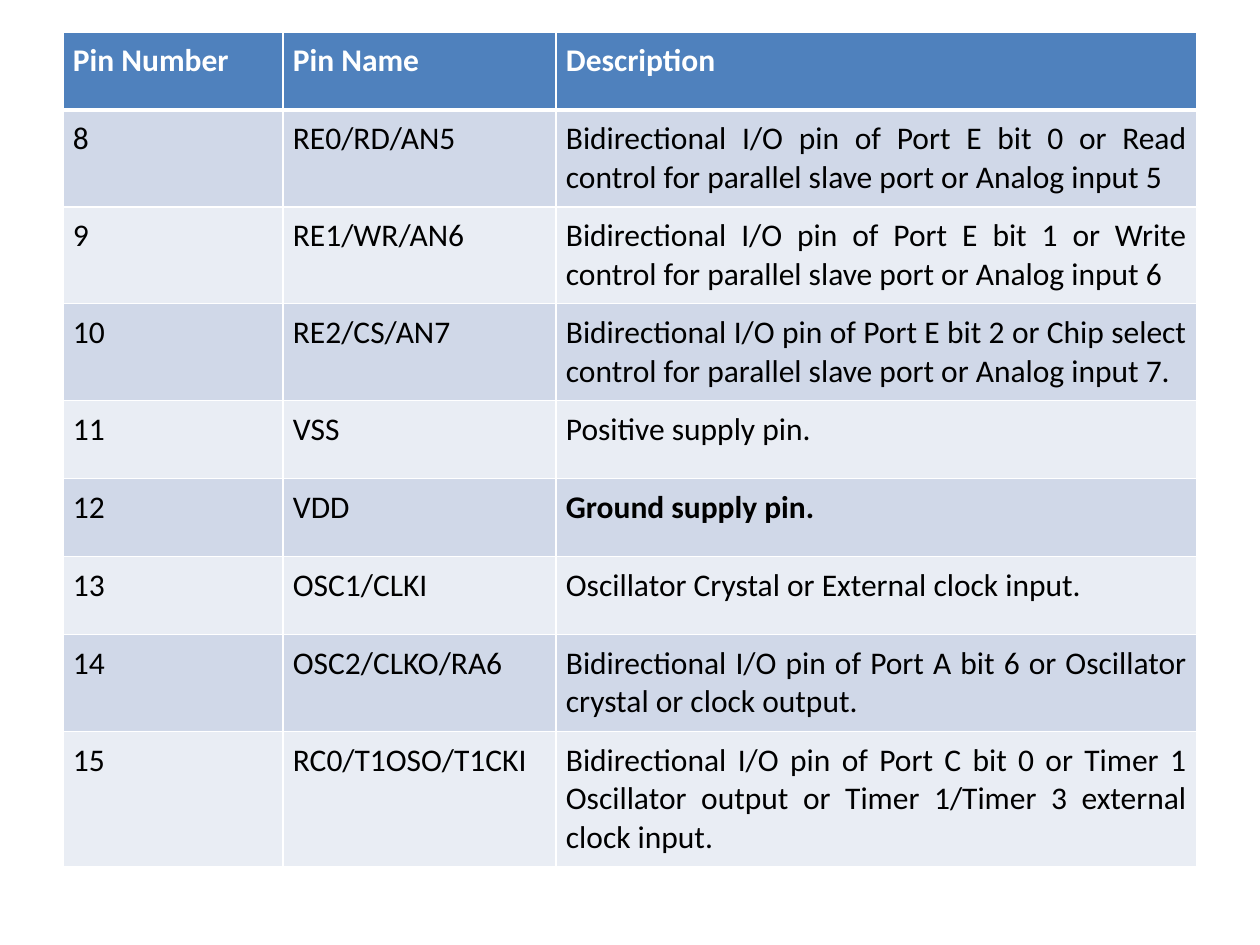
from dataclasses import dataclass

from lxml import etree
from pptx import Presentation
from pptx import util as u
from pptx.dml.color import RGBColor
from pptx.enum import text
from pptx.oxml.ns import qn

PX = 914400 / 126
WIDTHS = (220, 273, 641)
ROW_H = 78
BANDS = ("D0D8E8", "E9EDF4")
HEADINGS = ("Pin Number", "Pin Name", "Description")


@dataclass
class Pin:
    number: int
    name: str
    description: str
    bold: bool = False


PINS = [
    Pin(8, "RE0/RD/AN5", "Bidirectional I/O pin of Port E bit 0 or Read control for parallel slave port or Analog input 5"),
    Pin(9, "RE1/WR/AN6", "Bidirectional I/O pin of Port E bit 1 or Write control for parallel slave port or Analog input 6"),
    Pin(10, "RE2/CS/AN7", "Bidirectional I/O pin of Port E bit 2 or Chip select control for parallel slave port or Analog input 7."),
    Pin(11, "VSS", "Positive supply pin."),
    Pin(12, "VDD", "Ground supply pin.", bold=True),
    Pin(13, "OSC1/CLKI", "Oscillator Crystal or External clock input."),
    Pin(14, "OSC2/CLKO/RA6", "Bidirectional I/O pin of Port A bit 6 or Oscillator crystal or clock output."),
    Pin(15, "RC0/T1OSO/T1CKI", "Bidirectional I/O pin of Port C bit 0 or Timer 1 Oscillator output or Timer 1/Timer 3 external clock input."),
]


def px(n: int) -> u.Emu:
    return u.Emu(round(n * PX))


def rgb(value: str) -> RGBColor:
    return RGBColor.from_string(value)


def set_borders(cell, top: int, bottom: int) -> None:
    tc_pr = cell._tc.get_or_add_tcPr()
    for side, width in {"L": 1, "R": 1, "T": top, "B": bottom}.items():
        ln = etree.SubElement(tc_pr, qn(f"a:ln{side}"), w=str(u.Pt(width)))
        fill = etree.SubElement(ln, qn("a:solidFill"))
        etree.SubElement(fill, qn("a:srgbClr"), val="FFFFFF")


def fill_cell(cell, label: str, fill: str, color: str, bold: bool,
              top: int = 1, bottom: int = 1) -> None:
    set_borders(cell, top, bottom)
    cell.fill.solid()
    cell.fill.fore_color.rgb = rgb(fill)
    for side in ("left", "right", "top", "bottom"):
        setattr(cell, f"margin_{side}", px(10))
    p = cell.text_frame.paragraphs[0]
    p.alignment = text.PP_ALIGN.JUSTIFY
    r = p.add_run()
    r.text = label
    for key, value in {"name": "Calibri", "size": u.Pt(18), "bold": bold}.items():
        setattr(r.font, key, value)
    r.font.color.rgb = rgb(color)


def add_pin_table(s, pins: list[Pin]) -> None:
    rows = len(pins) + 1
    table = s.shapes.add_table(rows, len(WIDTHS), px(63), px(32),
                               px(sum(WIDTHS)), px(rows * ROW_H)).table
    for column, width in zip(table.columns, WIDTHS):
        column.width = px(width)
    for row in table.rows:
        row.height = px(ROW_H)
    for c, heading in enumerate(HEADINGS):
        fill_cell(table.cell(0, c), heading, "4F81BD", "FFFFFF", True, bottom=3)
    for i, pin in enumerate(pins):
        for c, label in enumerate((str(pin.number), pin.name, pin.description)):
            fill_cell(table.cell(i + 1, c), label, BANDS[i % 2], "000000",
                      pin.bold and c == 2, top=3 if i == 0 else 1)


def main() -> None:
    prs = Presentation()
    prs.slide_width, prs.slide_height = px(1260), px(945)
    s = prs.slides.add_slide(prs.slide_layouts[6])
    add_pin_table(s, PINS)
    prs.save("out.pptx")


if __name__ == "__main__":
    main()
